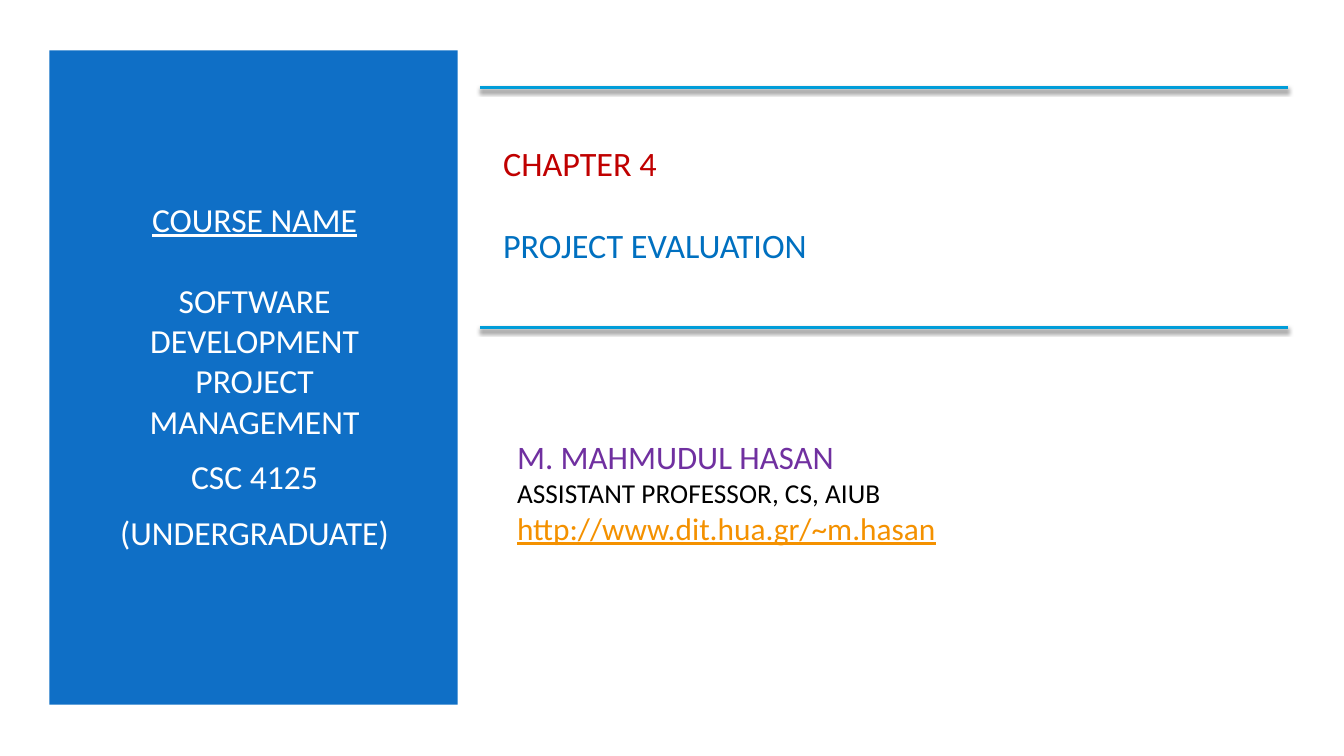
import pptx
import pptx.dml.color
import pptx.enum.shapes
import pptx.enum.text
import pptx.oxml
import pptx.util
from pptx.util import Inches

FONT = "Calibri"
LEFT = pptx.enum.text.PP_ALIGN.LEFT
CENTER = pptx.enum.text.PP_ALIGN.CENTER
SHADOW = (
    '<a:effectLst xmlns:a="http://schemas.openxmlformats.org/drawingml/2006/main">'
    '<a:outerShdw blurRad="38100" dist="25400" dir="5400000" rotWithShape="0">'
    '<a:srgbClr val="000000"><a:alpha val="55000"/></a:srgbClr>'
    '</a:outerShdw></a:effectLst>'
)


def color(value):
    return pptx.dml.color.RGBColor.from_string(value)


def prepare_frame(shape):
    frame = shape.text_frame
    frame.word_wrap = True
    frame.auto_size = pptx.enum.text.MSO_AUTO_SIZE.NONE
    frame.vertical_anchor = pptx.enum.text.MSO_ANCHOR.MIDDLE
    return frame


def add_text(frame, text, size, fill, align=LEFT, underline=False, before=0):
    paragraph = frame.paragraphs[0]
    if paragraph.runs:
        paragraph = frame.add_paragraph()
    paragraph.alignment = align
    paragraph.line_spacing = 1.0
    paragraph.space_before = pptx.util.Pt(before)
    paragraph.space_after = pptx.util.Pt(0)
    run = paragraph.add_run()
    run.text = text
    run.font.name = FONT
    run.font.size = pptx.util.Pt(size)
    run.font.color.rgb = color(fill)
    run.font.underline = underline


def add_course_panel(slide, left, top, width, height):
    panel = slide.shapes.add_shape(
        pptx.enum.shapes.MSO_SHAPE.RECTANGLE,
        Inches(left), Inches(top), Inches(width), Inches(height))
    panel.shadow.inherit = False
    panel.fill.solid()
    panel.fill.fore_color.rgb = color("0F6FC6")
    panel.line.fill.background()
    box = slide.shapes.add_textbox(
        Inches(left + 0.35), Inches(top + 0.6), Inches(width - 0.68), Inches(height - 1.24))
    frame = prepare_frame(box)
    for text, underline, before in (
        ("COURSE NAME", True, 0),
        ("SOFTWARE DEVELOPMENT PROJECT MANAGEMENT", False, 29),
        ("CSC 4125", False, 11),
        ("(UNDERGRADUATE)", False, 11),
    ):
        add_text(frame, text, 24, "FFFFFF", CENTER, underline, before)


def add_rule(slide, left, top, width):
    rule = slide.shapes.add_connector(
        pptx.enum.shapes.MSO_CONNECTOR.STRAIGHT,
        Inches(left), Inches(top), Inches(left + width), Inches(top))
    rule.line.color.rgb = color("009DD9")
    rule.line.width = pptx.util.Pt(2)
    rule._element.spPr.append(pptx.oxml.parse_xml(SHADOW))


def add_chapter_title(slide, left, top, width, height):
    add_rule(slide, left, top, width)
    add_rule(slide, left, top + height, width)
    title = slide.shapes.title
    title.left, title.top = Inches(left + 0.13), Inches(top + 0.23)
    title.width, title.height = Inches(width - 0.16), Inches(height - 0.54)
    frame = prepare_frame(title)
    add_text(frame, "CHAPTER 4", 24.4, "C00000")
    add_text(frame, "PROJECT EVALUATION", 24.4, "0070C0", before=29)


def add_author(slide, left, top, width, height):
    box = slide.shapes.add_textbox(Inches(left), Inches(top), Inches(width), Inches(height))
    frame = prepare_frame(box)
    add_text(frame, "M. MAHMUDUL HASAN", 23.4, "7030A0")
    add_text(frame, "ASSISTANT PROFESSOR, CS, AIUB", 19.5, "000000")
    add_text(frame, "http://www.dit.hua.gr/~m.hasan", 22.4, "F49100", underline=True)


def main():
    presentation = pptx.Presentation()
    presentation.slide_width = Inches(13.33)
    presentation.slide_height = Inches(7.5)
    slide = presentation.slides.add_slide(presentation.slide_layouts[5])
    add_course_panel(slide, 0.49, 0.5, 4.05, 6.49)
    add_chapter_title(slide, 4.76, 0.87, 8.01, 2.38)
    add_author(slide, 5.03, 4.1, 6.66, 1.56)
    presentation.save("out.pptx")


if __name__ == "__main__":
    main()
